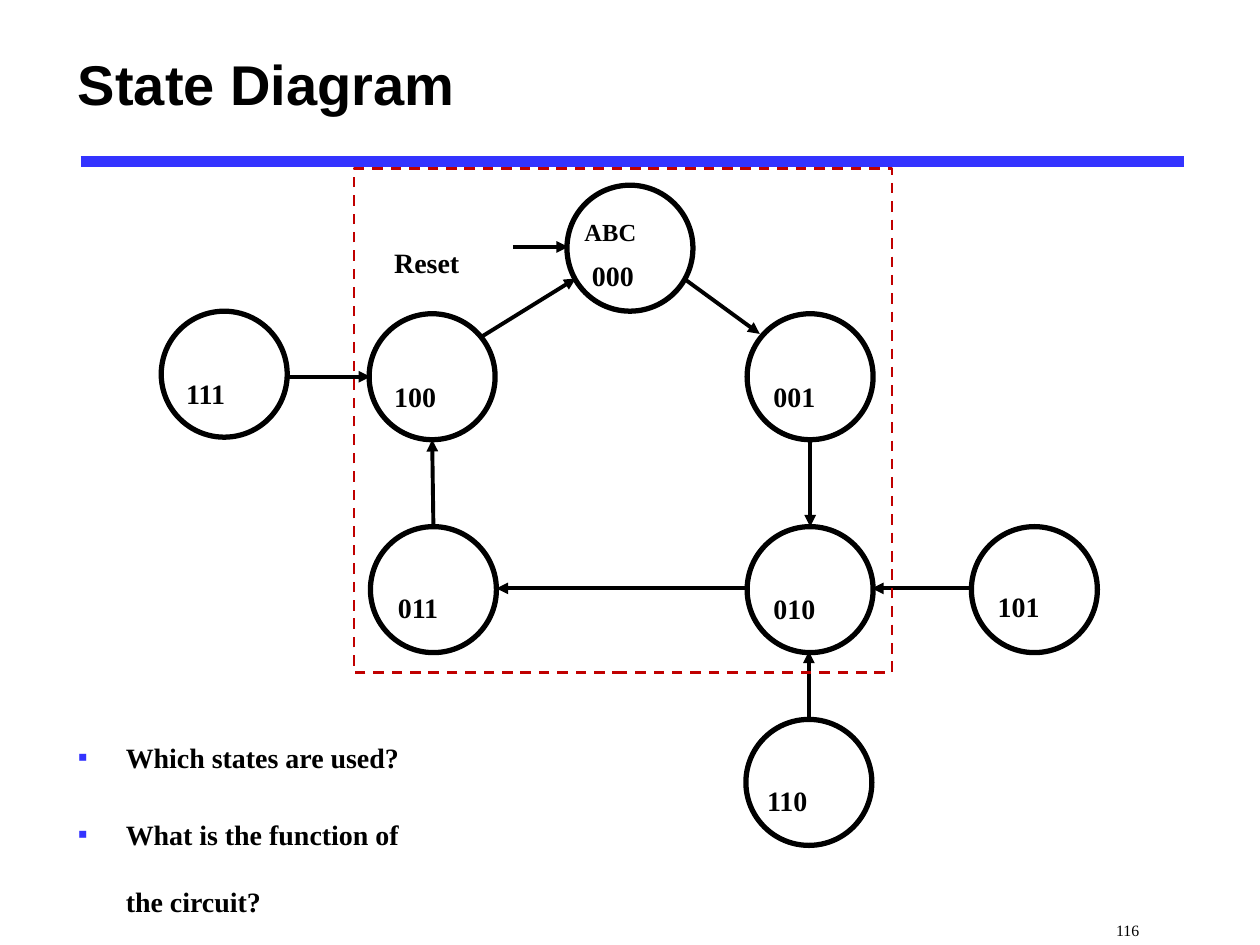
from pptx import Presentation
from pptx.dml.color import RGBColor as Rgb
from pptx.enum.dml import MSO_LINE as Dash
from pptx.enum.shapes import MSO_CONNECTOR as Link, MSO_SHAPE as Form
from pptx.enum.text import MSO_ANCHOR as Anchor, PP_ALIGN as Align
from pptx.oxml.ns import qn
from pptx.util import Inches, Pt
from lxml.etree import SubElement as Sub

THEME = {
    "ink": "000000", "blue": "3333FF", "red": "C00000",
    "head": "Arial", "body": "Times New Roman",
    "title": 32, "text": 16, "small": 14, "page": 9,
    "rule": 6, "ring": 3, "arrow": 2.25, "frame": 1.5,
}
TITLE = "State Diagram"
PAGE = "116"
ASKS = [["Which states are used?"], ["What is the function of", "the circuit?"]]
STATES = [
    ("000", (4.5, 1.47), (4.6, 1.75)),
    ("001", (5.93, 2.49), (6.04, 2.71)),
    ("010", (5.93, 4.18), (6.04, 4.4)),
    ("011", (2.94, 4.18), (3.06, 4.39)),
    ("100", (2.93, 2.49), (3.03, 2.71)),
    ("101", (7.71, 4.18), (7.82, 4.38)),
    ("110", (5.92, 5.71), (5.99, 5.92)),
    ("111", (1.28, 2.47), (1.38, 2.69)),
]
ARROWS = [
    ((5.44, 2.22), (6.03, 2.65)),
    ((6.43, 3.47), (6.43, 4.18)),
    ((5.94, 4.67), (3.94, 4.67)),
    ((3.44, 4.18), (3.43, 3.49)),
    ((3.81, 2.68), (4.57, 2.21)),
    ((2.29, 2.99), (2.94, 2.99)),
    ((7.71, 4.67), (6.92, 4.67)),
    ((6.42, 5.71), (6.42, 5.17)),
    ((4.07, 1.96), (4.51, 1.96)),
]


def color(name):
    return Rgb.from_string(THEME[name])


def add_run(para, text, size="text", face="body", bold=True):
    run = para.add_run()
    run.text = text
    run.font.name = THEME[face]
    run.font.size = Pt(THEME[size])
    run.font.bold = bold
    run.font.color.rgb = color("ink")


def add_box(slide, place, top=0.05, anchor=Anchor.TOP, wrap=True):
    frame = slide.shapes.add_textbox(*map(Inches, place)).text_frame
    frame.word_wrap = wrap
    frame.margin_top = Inches(top)
    frame.vertical_anchor = anchor
    return frame


def add_label(slide, text, spot, wide=1.04):
    frame = add_box(slide, (*spot, wide, 0.57), top=0.33)
    frame.margin_bottom = 0
    add_run(frame.paragraphs[0], text)


def add_line(slide, start, end, tint, width, tip=False):
    line = slide.shapes.add_connector(Link.STRAIGHT, *map(Inches, (*start, *end)))
    line.line.color.rgb = color(tint)
    line.line.width = Pt(THEME[width])
    if tip:
        Sub(line.line._get_or_add_ln(), qn("a:tailEnd"), type="triangle")
    Sub(line._element.spPr, qn("a:effectLst"))


def add_shape(slide, form, place, tint, width):
    shape = slide.shapes.add_shape(form, *map(Inches, place))
    shape.shadow.inherit = False
    shape.fill.background()
    shape.line.color.rgb = color(tint)
    shape.line.width = Pt(THEME[width])
    return shape


def add_bullet(para):
    props = para._p.get_or_add_pPr()
    props.set("marL", str(Inches(0.38)))
    props.set("indent", str(-Inches(0.38)))
    Sub(Sub(props, qn("a:buClr")), qn("a:srgbClr"), val=THEME["blue"])
    Sub(props, qn("a:buFont"), typeface=THEME["body"])
    Sub(props, qn("a:buChar"), char="▪")


def add_asks(slide):
    frame = add_box(slide, (0.52, 5.56, 8.5, 1.8))
    for i, lines in enumerate(ASKS):
        para = frame.add_paragraph() if i else frame.paragraphs[0]
        add_bullet(para)
        para.line_spacing = Pt(38.3)
        para.space_before = Pt(5.7 if i else 0)
        for j, text in enumerate(lines):
            if j:
                para.add_line_break()
            add_run(para, text)


def main():
    """Build the state diagram slide."""
    deck = Presentation()
    deck.slide_width, deck.slide_height = Inches(10), Inches(7.5)
    slide = deck.slides.add_slide(deck.slide_layouts[6])

    add_line(slide, (0.64, 1.28), (9.4, 1.28), "blue", "rule")
    head = add_box(slide, (0.52, 0.1, 8.91, 1.12), anchor=Anchor.MIDDLE)
    add_run(head.paragraphs[0], TITLE, "title", "head")
    foot = add_box(slide, (7.9, 7.12, 2.1, 0.38), top=0.22)
    foot.margin_bottom = 0
    foot.paragraphs[0].alignment = Align.CENTER
    add_run(foot.paragraphs[0], PAGE, "page", bold=False)
    add_asks(slide)

    for name, spot, label in STATES:
        add_shape(slide, Form.OVAL, (*spot, 1, 1), "ink", "ring")
        add_label(slide, name, label)
    for start, end in ARROWS:
        add_line(slide, start, end, "ink", "arrow", tip=True)
    add_label(slide, "Reset", (3.03, 1.65), 1.35)
    key = add_box(slide, (4.54, 1.46, 0.91, 0.5), top=0.29)
    key.margin_bottom = 0
    add_run(key.paragraphs[0], "ABC", "small")

    area = add_shape(slide, Form.RECTANGLE, (2.81, 1.34, 4.27, 4), "red", "frame")
    area.line.dash_style = Dash.DASH
    deck.save("out.pptx")


if __name__ == "__main__":
    main()
